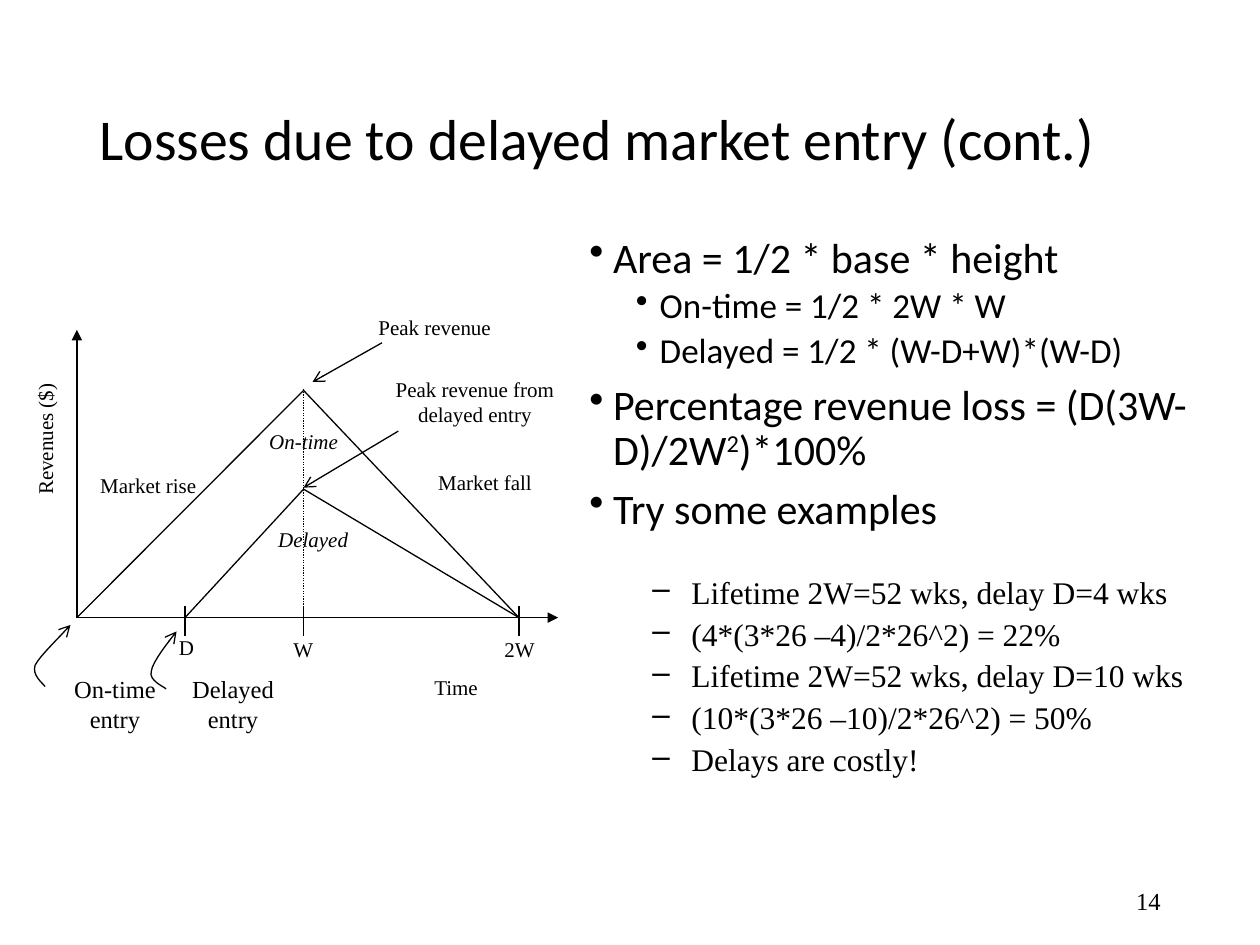
"""Build the slide on losses due to delayed market entry."""
from dataclasses import dataclass
from typing import Optional

from pptx import Presentation
from pptx import util as u
from pptx.dml import color
from pptx.enum import dml, text
from pptx.oxml import ns, xmlchemy

BLACK = color.RGBColor(0, 0, 0)
SANS, SERIF = "Calibri", "Times New Roman"
LEFT, MID, RIGHT = text.PP_ALIGN.LEFT, text.PP_ALIGN.CENTER, text.PP_ALIGN.RIGHT
START, DELAY, PEAK, END = 1.55, 3.73, 6.12, 10.46
BASE, TOP, LOW = 12.45, 7.87, 9.86


@dataclass
class Label:
    words: str
    left: float
    top: float
    width: float
    height: float = 0.79
    size: int = 12
    slant: bool = False
    turn: int = 0


@dataclass
class Stroke:
    start: tuple
    end: tuple
    head: Optional[str] = None
    dots: bool = False


@dataclass
class Style:
    font: str
    size: int
    mark: str
    left: float
    hang: float
    before: float
    level: int = 0


@dataclass
class Item:
    style: Style
    texts: tuple
    lines: float = 0.9


MAIN = Style(SANS, 24, "•", 0.48, 0.48, 7.5)
SUB = Style(SANS, 20, "•", 1.42, 0.48, 3.7, 1)
DASH = Style(SERIF, 18, "–", 2.06, 0.79, 4.5, 1)

RULES = [
    Item(MAIN, ("Area = 1/2 * base * height",)),
    Item(SUB, ("On-time = 1/2 * 2W * W",)),
    Item(SUB, ("Delayed = 1/2 * (W-D+W)*(W-D)",)),
    Item(MAIN, ("Percentage revenue loss = (D(3W-D)/2W", "2", ")*100%")),
    Item(MAIN, ("Try some examples",)),
]
CASES = [
    Item(DASH, ("Lifetime 2W=52 wks, delay D=4 wks",), 1.0),
    Item(DASH, ("(4*(3*26 –4)/2*26^2) = 22%",)),
    Item(DASH, ("Lifetime 2W=52 wks, delay D=10 wks",)),
    Item(DASH, ("(10*(3*26 –10)/2*26^2) = 50%",)),
    Item(DASH, ("Delays are costly!",)),
]
LABELS = [
    Label("On-time\nentry", 1.32, 13.59, 2, 1.27, 14),
    Label("Delayed\nentry", 3.7, 13.59, 2, 1.27, 14),
    Label("Peak revenue", 6.68, 6.35, 4.17, 0.71),
    Label("Peak revenue from delayed entry", 7.49, 7.59, 4.17, 1.37),
    Label("Market rise", 1.9, 9.53, 2.18, 1.4),
    Label("Market fall", 8.69, 9.47, 2.18, 1.4),
    Label("D", 3.38, 12.8, 0.76, 0.61),
    Label("W", 5.72, 12.83, 0.79),
    Label("2W", 10.08, 12.83, 0.79),
    Label("Time", 7.11, 13.59, 4.17),
    Label("On-time", 5.13, 8.64, 1.98, slant=True),
    Label("Delayed", 4.93, 10.62, 2.77, slant=True),
    Label("Revenues ($)", -1.04, 8.46, 4.17, turn=270),
]
STROKES = [
    Stroke((START, BASE), (11.25, BASE), "triangle"),
    Stroke((START, BASE), (START, 6.65), "triangle"),
    Stroke((PEAK, BASE), (PEAK, 7.85), dots=True),
    Stroke((START, BASE), (PEAK, TOP)),
    Stroke((PEAK, TOP), (END, BASE)),
    Stroke((DELAY, BASE), (PEAK, LOW)),
    Stroke((PEAK, LOW), (END, BASE)),
    Stroke((7.7, 6.91), (6.3, 7.7), "arrow"),
    Stroke((8.03, 8.69), (PEAK, 9.83), "arrow"),
    *(Stroke((x, 12.22), (x, 12.82)) for x in (DELAY, PEAK, END)),
]
CURVES = [
    [(0.91, 13.84), (0.86, 13.77), (0.64, 13.61), (0.71, 13.41),
     (0.81, 13.21), (1.27, 12.78), (1.42, 12.6)],
    [(3.35, 13.89), (3.3, 13.84), (3, 13.72), (3.05, 13.54),
     (3.07, 13.34), (3.43, 12.9), (3.56, 12.73)],
]


def node(up, tag: str, **attrs: str):
    """Append a drawing element with its attributes."""
    kid = xmlchemy.OxmlElement(tag)
    for key, val in attrs.items():
        kid.set(key, val)
    up.append(kid)
    return kid


def write(para, words: str, font: str, size: float, slant: bool = False):
    """Add one run of black text."""
    run = para.add_run()
    run.text = words
    run.font.name, run.font.size = font, u.Pt(size)
    run.font.italic = slant
    run.font.color.rgb = BLACK
    return run


def add_box(slide, left: float, top: float, width: float, height: float, pad: bool = True):
    """Add a wrapping text box, with or without insets."""
    box = slide.shapes.add_textbox(u.Cm(left), u.Cm(top), u.Cm(width), u.Cm(height))
    frame = box.text_frame
    frame.word_wrap = True
    if not pad:
        frame.margin_left = frame.margin_right = 0
        frame.margin_top = frame.margin_bottom = 0
    return box


def add_label(slide, label: Label) -> None:
    """Draw a centred chart label."""
    box = add_box(slide, label.left, label.top, label.width, label.height, False)
    box.rotation = label.turn
    frame = box.text_frame
    for i, words in enumerate(label.words.split("\n")):
        para = frame.add_paragraph() if i else frame.paragraphs[0]
        para.alignment = MID
        write(para, words, SERIF, label.size, label.slant)


def add_list(slide, items: list, top: float, height: float) -> None:
    """Draw a bulleted list in the right column."""
    frame = add_box(slide, 11.63, top, 12.7, height).text_frame
    for i, item in enumerate(items):
        style = item.style
        para = frame.add_paragraph() if i else frame.paragraphs[0]
        para.level, para.line_spacing = style.level, item.lines
        para.space_before = u.Pt(style.before)
        props = para._p.get_or_add_pPr()
        props.set("marL", str(u.Cm(style.left)))
        props.set("indent", str(-u.Cm(style.hang)))
        node(node(props, "a:buClr"), "a:srgbClr", val=str(BLACK))
        node(props, "a:buChar", char=style.mark)
        for j, words in enumerate(item.texts):
            run = write(para, words, style.font, style.size)
            if j % 2:
                run._r.get_or_add_rPr().set("baseline", "30000")


def ink(shape, head: Optional[str] = None, dots: bool = False) -> None:
    """Give a thin black line, and drop the shadow."""
    line = shape.line
    line.color.rgb, line.width = BLACK, u.Pt(0.75)
    if dots:
        line.dash_style = dml.MSO_LINE.ROUND_DOT
    props = shape._element.spPr
    if head:
        node(props.find(ns.qn("a:ln")), "a:tailEnd", type=head)
    node(props, "a:effectLst")


def add_stroke(slide, stroke: Stroke) -> None:
    """Draw a straight line."""
    ends = [u.Cm(v) for v in (*stroke.start, *stroke.end)]
    ink(slide.shapes.add_connector(1, *ends), stroke.head, stroke.dots)


def bend(pts: list, t: float) -> tuple:
    """Find a point on a cubic curve."""
    while len(pts) > 1:
        pts = [tuple(a + (b - a) * t for a, b in zip(p, q)) for p, q in zip(pts, pts[1:])]
    return tuple(u.Cm(v) for v in pts[0])


def add_curve(slide, pts: list, steps: int = 8) -> None:
    """Draw a curved arrow through two cubic spans."""
    dots = [bend(pts[k:k + 4], i / steps) for k in (0, 3) for i in range(1, steps + 1)]
    pen = slide.shapes.build_freeform(*bend(pts[:1], 0))
    pen.add_line_segments(dots, close=False)
    shape = pen.convert_to_shape()
    shape.fill.background()
    ink(shape, "arrow")


def main() -> None:
    """Compose and save the slide."""
    deck = Presentation()
    deck.slide_width, deck.slide_height = u.Cm(25.4), u.Cm(19.05)
    slide = deck.slides.add_slide(deck.slide_layouts[5])
    title = slide.shapes.title
    title.left, title.top, title.width, title.height = map(u.Cm, (1.75, 1.02, 21.92, 3.68))
    frame = title.text_frame
    frame.auto_size = text.MSO_AUTO_SIZE.NONE
    frame.vertical_anchor = text.MSO_ANCHOR.MIDDLE
    para = frame.paragraphs[0]
    para.alignment, para.line_spacing = LEFT, 0.9
    write(para, "Losses due to delayed market entry (cont.)", SANS, 33)
    add_list(slide, RULES, 4.65, 7.82)
    for stroke in STROKES:
        add_stroke(slide, stroke)
    for pts in CURVES:
        add_curve(slide, pts)
    for label in LABELS:
        add_label(slide, label)
    add_list(slide, CASES, 11.43, 5.28)
    frame = add_box(slide, 17.93, 17.65, 5.72, 1.02).text_frame
    frame.vertical_anchor = text.MSO_ANCHOR.MIDDLE
    frame.paragraphs[0].alignment = RIGHT
    write(frame.paragraphs[0], "14", SERIF, 14)
    deck.save("out.pptx")


if __name__ == "__main__":
    main()
